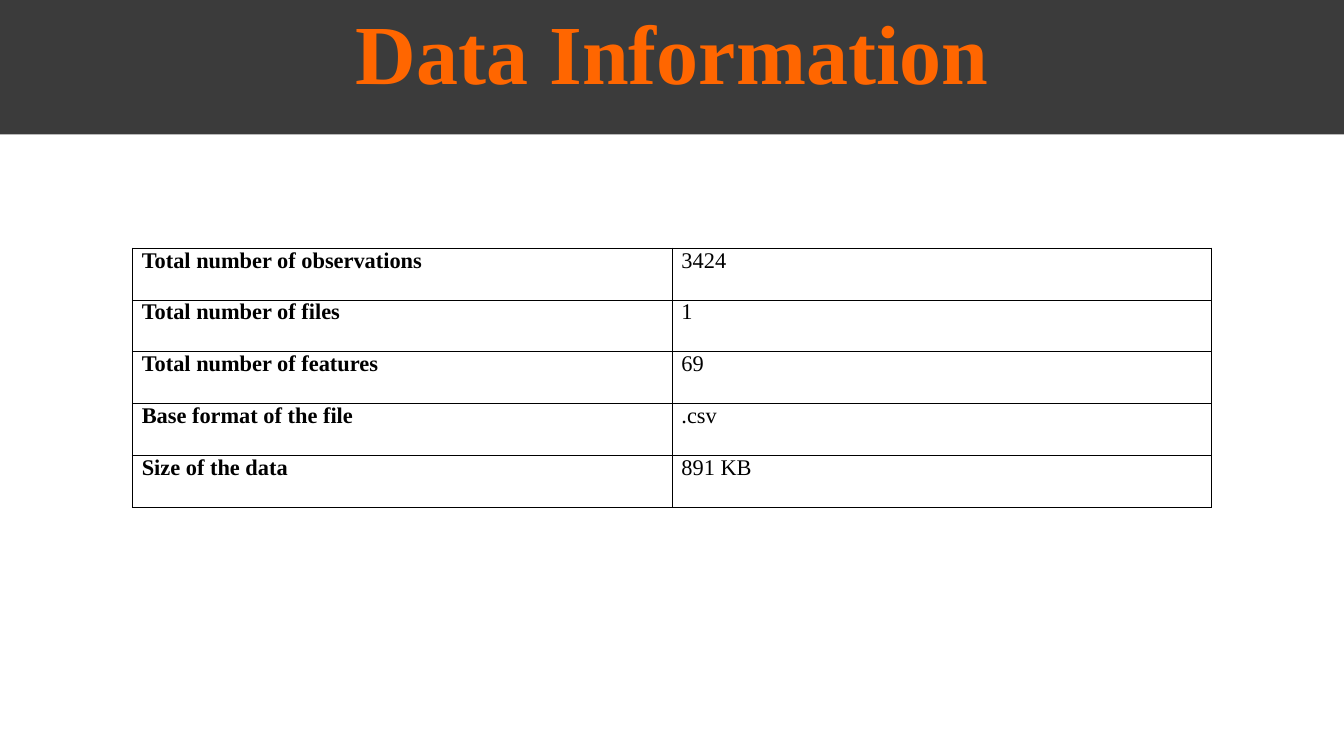
from lxml.etree import SubElement
from pptx import Presentation
from pptx.dml.color import RGBColor
from pptx.enum.text import MSO_ANCHOR, MSO_AUTO_SIZE, PP_ALIGN
from pptx.oxml.ns import qn
from pptx.util import Cm, Pt

DARK = RGBColor(0x3B, 0x3B, 0x3B)
ORANGE = RGBColor(0xFF, 0x66, 0x00)
BLACK = RGBColor(0, 0, 0)
FONT = "Times New Roman"


def style_font(font, size, color, bold):
    font.name = FONT
    font.size = Pt(size)
    font.bold = bold
    font.color.rgb = color


def add_borders(cell):
    tcPr = cell._tc.get_or_add_tcPr()
    for i, side in enumerate(("lnL", "lnR", "lnT", "lnB")):
        ln = tcPr.makeelement(qn(f"a:{side}"), {"w": str(Pt(0.5))})
        fill = SubElement(ln, qn("a:solidFill"))
        SubElement(fill, qn("a:srgbClr"), val=str(BLACK))
        tcPr.insert(i, ln)


prs = Presentation()
prs.slide_width, prs.slide_height = Cm(25.4), Cm(14.29)
s = prs.slides.add_slide(prs.slide_layouts[5])

# Title band
title = s.shapes.title
title.left, title.top, title.width, title.height = 0, 0, prs.slide_width, Cm(2.54)
title.fill.solid()
title.fill.fore_color.rgb = DARK
tf = title.text_frame
tf.text = "Data Information"
tf.word_wrap = True
tf.auto_size = MSO_AUTO_SIZE.NONE
tf.vertical_anchor = MSO_ANCHOR.TOP
tf.margin_left = tf.margin_right = Cm(0.18)
tf.margin_top, tf.margin_bottom = Cm(0.23), Cm(0.1)
p = tf.paragraphs[0]
p.alignment = PP_ALIGN.CENTER
p.line_spacing = 0.9
style_font(p.runs[0].font, 45, ORANGE, True)

# Data facts table
facts = [
    ("Total number of observations", "3424"),
    ("Total number of files", "1"),
    ("Total number of features", "69"),
    ("Base format of the file", ".csv"),
    ("Size of the data", "891 KB"),
]
row_height = Cm(0.98)
table = s.shapes.add_table(len(facts), 2, Cm(2.5), Cm(4.69),
                           Cm(20.4), row_height * len(facts)).table
table.first_row = table.horz_banding = False
for row, fact in zip(table.rows, facts):
    row.height = row_height
    for col, (cell, text) in enumerate(zip(row.cells, fact)):
        cell.text = text
        cell.margin_left = cell.margin_right = Cm(0.18)
        cell.margin_top = cell.margin_bottom = 0
        cell.fill.background()
        add_borders(cell)
        style_font(cell.text_frame.paragraphs[0].runs[0].font, 12, BLACK, col == 0)

prs.save("out.pptx")
